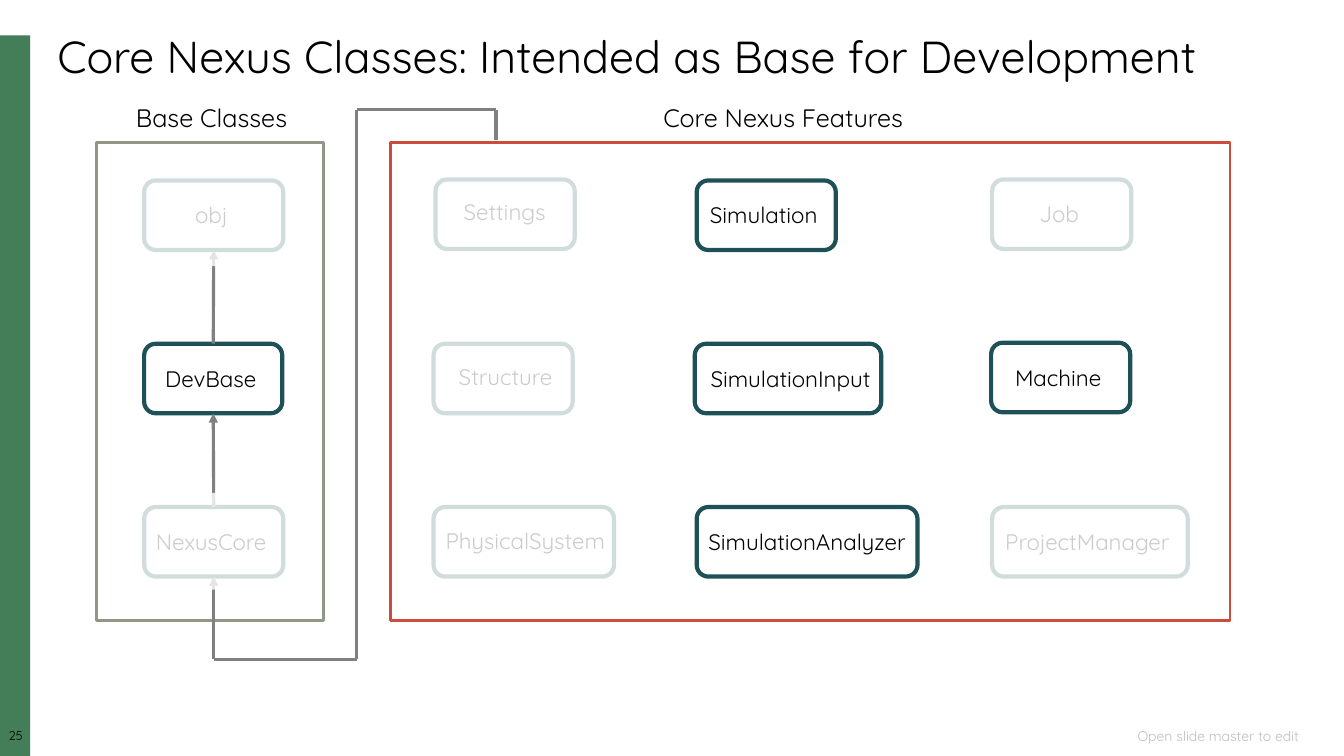
from lxml.etree import SubElement
from pptx import Presentation
from pptx.dml.color import RGBColor
from pptx.enum.shapes import MSO_CONNECTOR, MSO_SHAPE
from pptx.enum.text import MSO_ANCHOR, PP_ALIGN
from pptx.oxml.ns import qn
from pptx.util import Inches, Pt

FONT = "Quicksand"
BLACK, WHITE, GRAY, PALE = "000000", "FFFFFF", "808080", "BFBFBF"
GREEN, TEAL, RED, OLIVE = "447E59", "1D5157", "CB4D3D", "919785"
TOP, BOTTOM = 0, 2


def color(hex_string):
    return RGBColor.from_string(hex_string)


class Diagram:
    def __init__(self, slide):
        self.shapes = slide.shapes

    def box(self, left, top, width, height, fill=WHITE, line=None, weight=2,
            kind=MSO_SHAPE.RECTANGLE):
        shape = self.shapes.add_shape(
            kind, Inches(left), Inches(top), Inches(width), Inches(height))
        shape.shadow.inherit = False
        shape.fill.solid()
        shape.fill.fore_color.rgb = color(fill)
        if line:
            shape.line.color.rgb = color(line)
            shape.line.width = Pt(weight)
        else:
            shape.line.fill.background()
        return shape

    def text(self, words, left, top, width, height, size, align=PP_ALIGN.LEFT,
             ink=BLACK, wrap=True, inset=None, spacing=0.9, anchor=MSO_ANCHOR.TOP):
        frame = self.shapes.add_textbox(
            Inches(left), Inches(top), Inches(width), Inches(height)).text_frame
        frame.word_wrap = wrap
        frame.vertical_anchor = anchor
        if inset is not None:
            frame.margin_left = frame.margin_right = Inches(inset)
            frame.margin_top = frame.margin_bottom = Inches(inset)
        frame.text = words
        paragraph = frame.paragraphs[0]
        paragraph.alignment = align
        paragraph.line_spacing = spacing
        font = paragraph.runs[0].font
        font.name = FONT
        font.size = Pt(size)
        font.color.rgb = color(ink)

    def class_box(self, name, left, top, width, dx, dy, extra):
        outline = self.box(left, top, width, 0.69, line=TEAL, weight=3,
                           kind=MSO_SHAPE.ROUNDED_RECTANGLE)
        self.text(name, left + dx, top + dy, width + extra, 0.34, 16, PP_ALIGN.CENTER)
        return outline

    def line(self, start, end, arrow=False):
        connector = self.shapes.add_connector(
            MSO_CONNECTOR.STRAIGHT, *(Inches(value) for value in start + end))
        connector.line.color.rgb = color(GRAY)
        connector.line.width = Pt(2.25)
        if arrow:
            SubElement(connector.line._get_or_add_ln(), qn("a:tailEnd"), type="triangle")
        SubElement(connector._element.spPr, qn("a:effectLst"))
        return connector

    def veil(self, left, top, width):
        cover = self.box(left, top, width, 0.96)
        fill_color = cover._element.spPr.find(qn("a:solidFill"))[0]
        SubElement(fill_color, qn("a:alpha"), val="80000")


def main():
    presentation = Presentation()
    presentation.slide_width = Inches(13.33)
    presentation.slide_height = Inches(7.5)
    diagram = Diagram(presentation.slides.add_slide(presentation.slide_layouts[6]))

    diagram.box(0, 0.35, 0.3, 7.15, GREEN)
    diagram.text("25", 0, 7.24, 0.31, 0.17, 9, PP_ALIGN.CENTER, inset=0)
    diagram.text("Open slide master to edit", 8.76, 7.2, 4.22, 0.2, 10, PP_ALIGN.RIGHT,
                 PALE, spacing=1.0, anchor=MSO_ANCHOR.MIDDLE)
    diagram.box(3.87, 1.41, 8.33, 4.75, line=RED)
    diagram.box(0.96, 1.41, 2.25, 4.75, line=OLIVE)
    diagram.text("Core Nexus Classes: Intended as Base for Development",
                 0.47, 0.3, 12.5, 0.59, 32)

    classes = [
        ("obj", 1.43, 1.79, 1.38, -0.05, 0.19, 0.05),
        ("DevBase", 1.43, 3.41, 1.37, -0.05, 0.19, 0.05),
        ("NexusCore", 1.43, 5.03, 1.38, -0.05, 0.19, 0.05),
        ("Settings", 4.32, 1.78, 1.38, -0.03, 0.17, 0.05),
        ("Structure", 4.3, 3.41, 1.38, 0, 0.17, 0.05),
        ("PhysicalSystem", 4.3, 5.03, 1.79, -0.01, 0.18, 0.05),
        ("Simulation", 6.91, 1.79, 1.38, -0.05, 0.19, 0.05),
        ("SimulationInput", 6.89, 3.41, 1.85, 0, 0.19, 0.05),
        ("SimulationAnalyzer", 6.91, 5.03, 2.19, -0.05, 0.19, 0.1),
        ("Job", 9.84, 1.78, 1.38, -0.05, 0.19, 0.05),
        ("Machine", 9.83, 3.4, 1.38, -0.05, 0.19, 0.05),
        ("ProjectManager", 9.84, 5.03, 1.94, -0.05, 0.19, 0.05),
    ]
    outlines = {entry[0]: diagram.class_box(*entry) for entry in classes}

    diagram.text("Base Classes", 1.25, 1, 1.74, 0.37, 18, wrap=False)
    diagram.text("Core Nexus Features", 6.48, 1, 2.72, 0.37, 18, wrap=False)

    for child, parent, start, end in [("DevBase", "obj", 3.41, 2.48),
                                      ("NexusCore", "DevBase", 5.03, 4.1)]:
        inheritance = diagram.line((2.12, start), (2.12, end), arrow=True)
        inheritance.begin_connect(outlines[child], TOP)
        inheritance.end_connect(outlines[parent], BOTTOM)
    feature_arrow = diagram.line((2.12, 6.54), (2.12, 5.72), arrow=True)
    feature_arrow.end_connect(outlines["NexusCore"], BOTTOM)

    route = [(2.12, 6.54), (3.54, 6.54), (3.54, 1.09), (4.92, 1.09), (4.92, 1.39)]
    for start, end in zip(route, route[1:]):
        diagram.line(start, end)

    for veil in [(1.17, 1.68, 1.82), (1.19, 4.89, 1.82), (4.11, 1.61, 1.82),
                 (4.18, 3.28, 2.02), (4.16, 4.99, 2.51), (9.28, 1.7, 2.51),
                 (9.55, 4.91, 2.51)]:
        diagram.veil(*veil)

    presentation.save("out.pptx")


if __name__ == "__main__":
    main()
